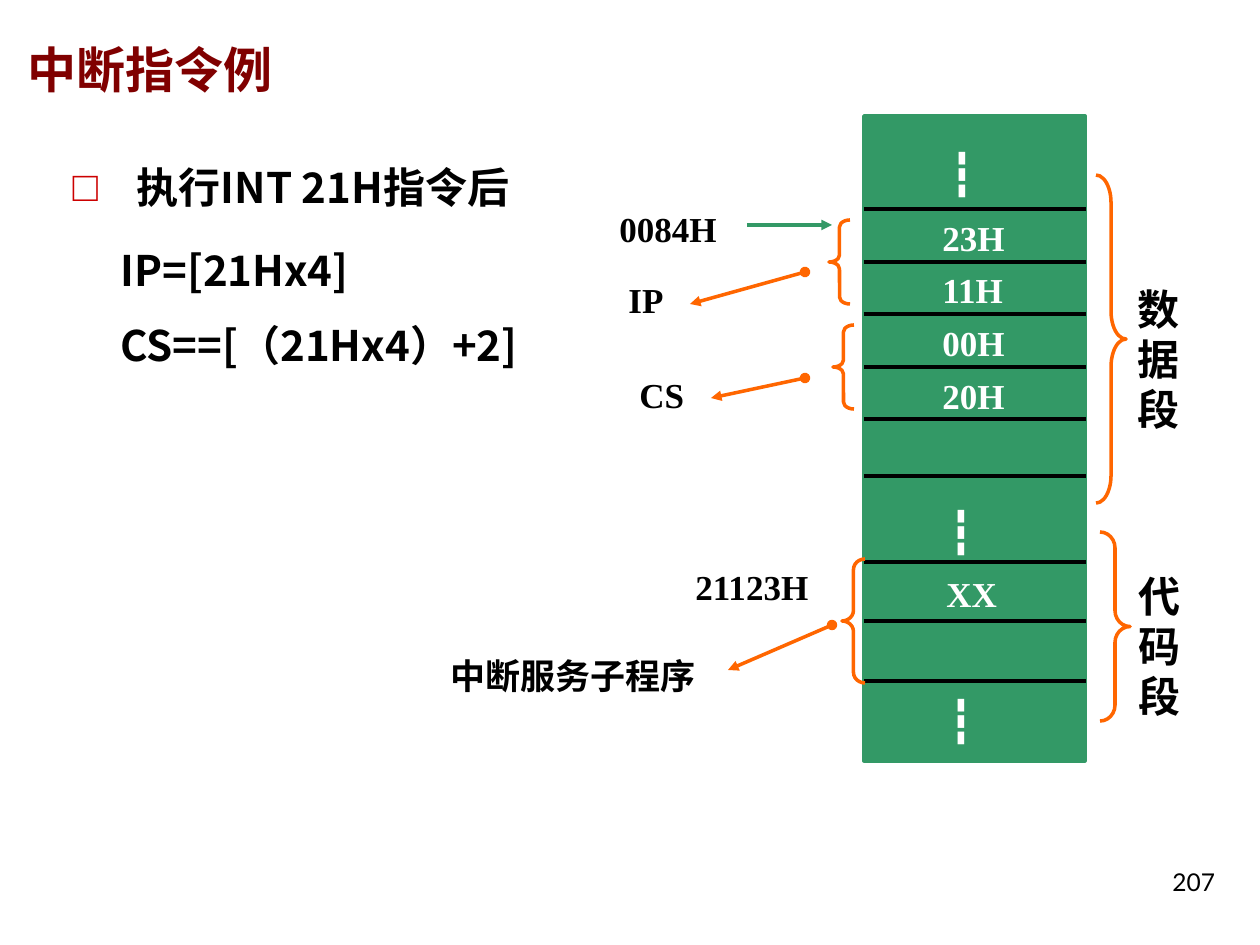
from pptx import Presentation
from pptx import util as u
from pptx.dml.color import RGBColor
from pptx.enum import shapes, text
from pptx.oxml.ns import qn
from lxml import etree

PX = 914400 / 126
MAROON = RGBColor(0x80, 0x00, 0x00)
GREEN = RGBColor(0x33, 0x99, 0x66)
ORANGE = RGBColor(0xFF, 0x66, 0x00)
BLACK = RGBColor(0, 0, 0)
WHITE = RGBColor(0xFF, 0xFF, 0xFF)
SERIF, CJK = "Times New Roman", "Noto Sans CJK SC"


def box(left, top, width, height, words, size=20, color=BLACK, font=SERIF,
        bold=True, anchor=text.MSO_ANCHOR.TOP, align=text.PP_ALIGN.LEFT):
    """Add a text box with one paragraph."""
    shape = slide.shapes.add_textbox(*[round(n * PX) for n in (left, top, width, height)])
    shape.text_frame.word_wrap = True
    shape.text_frame.vertical_anchor = anchor
    paragraph = shape.text_frame.paragraphs[0]
    paragraph.text = words
    paragraph.alignment = align
    paragraph.font.size, paragraph.font.bold = u.Pt(size), bold
    paragraph.font.name, paragraph.font.color.rgb = font, color


def line(start_x, start_y, end_x, end_y, color=BLACK, head=None, tail=None):
    """Add a straight line, with optional ends."""
    connector = slide.shapes.add_connector(
        shapes.MSO_CONNECTOR.STRAIGHT,
        *[round(n * PX) for n in (start_x, start_y, end_x, end_y)])
    connector.line.color.rgb, connector.line.width = color, u.Pt(2)
    outline = connector.line._get_or_add_ln()
    for tag, kind in (("a:headEnd", head), ("a:tailEnd", tail)):
        if kind:
            etree.SubElement(outline, qn(tag), type=kind)
    etree.SubElement(connector._element.spPr, qn("a:effectLst"))


presentation = Presentation()
presentation.slide_width, presentation.slide_height = u.Inches(10), u.Inches(7.5)
slide = presentation.slides.add_slide(presentation.slide_layouts[1])
title, body = slide.placeholders

# Title and body placeholders
for placeholder, place in ((title, (15, 10, 992, 95)), (body, (60, 130, 577, 417))):
    (placeholder.left, placeholder.top,
     placeholder.width, placeholder.height) = [round(n * PX) for n in place]
title.text_frame.text = "中断指令例"
title.text_frame.vertical_anchor = text.MSO_ANCHOR.BOTTOM
title.text_frame.paragraphs[0].alignment = text.PP_ALIGN.LEFT
body.text_frame.text = "执行INT 21H指令后\nIP=[21Hх4]\nCS==[（21Hх4）+2]"

for index, paragraph in enumerate(body.text_frame.paragraphs):
    paragraph.line_spacing = 1.5
    paragraph.space_before = u.Pt(0)
    paragraph.space_after = u.Pt((4, 0, 0)[index])
    properties = paragraph._p.get_or_add_pPr()
    if index == 0:
        properties.set("marL", str(u.Inches(0.51)))
        properties.set("indent", str(u.Inches(-0.51)))
        bullet_color = etree.SubElement(properties, qn("a:buClr"))
        etree.SubElement(bullet_color, qn("a:srgbClr"), val="CC0000")
        etree.SubElement(properties, qn("a:buChar"), char="□")
    else:
        properties.set("marL", str(u.Inches(0.38)))
        properties.set("indent", "0")
        etree.SubElement(properties, qn("a:buNone"))

for placeholder, size, color in ((title, 28, MAROON), (body, 24, BLACK)):
    for paragraph in placeholder.text_frame.paragraphs:
        paragraph.font.size, paragraph.font.bold = u.Pt(size), True
        paragraph.font.name, paragraph.font.color.rgb = CJK, color
        defaults = paragraph._p.pPr.find(qn("a:defRPr"))
        etree.SubElement(defaults, qn("a:ea"), typeface=CJK)

# Memory column with its dividers
memory = slide.shapes.add_shape(
    shapes.MSO_SHAPE.RECTANGLE, *[round(n * PX) for n in (864, 116, 221, 645)])
memory.shadow.inherit = False
memory.fill.solid()
memory.fill.fore_color.rgb = memory.line.color.rgb = GREEN
memory.line.width = u.Pt(2)
for y in (209, 262, 314, 367, 419, 476, 562, 621, 681):
    line(864, y, 1086, y)

# Memory contents
for row, value in enumerate(("23H", "11H", "00H", "20H")):
    box(930, 210 + round(52.5 * row), 147, 54, value, color=WHITE)
box(934, 566, 127, 54, "XX", color=WHITE)
for left, top in ((937, 141), (936, 499), (936, 688)):
    box(left, top, 73, 63, "┇", 24, WHITE)

# Braces: left, top, width, height, curvature, rotation
for *place, curve, rotation in (
        (829, 220, 21, 84, 0.33, 0), (833, 325, 21, 84, 0.33, 0),
        (842, 559, 23, 124, 0.46, 0),
        (1096, 175, 30, 328, 0.92, 180), (1100, 532, 30, 189, 0.53, 180)):
    brace = slide.shapes.add_shape(shapes.MSO_SHAPE.LEFT_BRACE,
                                   *[round(n * PX) for n in place])
    brace.shadow.inherit = False
    brace.adjustments[0] = curve
    brace.rotation = rotation
    brace.fill.background()
    brace.line.color.rgb, brace.line.width = ORANGE, u.Pt(2)

# Address arrow and pointers to what the bytes mean
line(747, 225, 832, 225, GREEN, tail="triangle")
for ends in ((805, 272, 690, 304), (805, 378, 711, 398), (832, 625, 728, 670)):
    line(*ends, ORANGE, head="oval", tail="triangle")

# Labels on the left
box(607, 184, 158, 72, "0084H", anchor=text.MSO_ANCHOR.BOTTOM)
box(683, 542, 158, 72, "21123H", anchor=text.MSO_ANCHOR.BOTTOM)
box(616, 272, 84, 54, "IP")
box(627, 367, 95, 54, "CS")
box(438, 648, 328, 54, "中断服务子程序")

# Segment names, one character to a line
for left, top, name in ((1125, 277, "数据段"), (1126, 564, "代码段")):
    box(left, top, 63, 126, name, 24, align=text.PP_ALIGN.CENTER)

# Page number
box(1160, 861, 100, 66, "207", 14, font="Lato", bold=False)

presentation.save("out.pptx")
